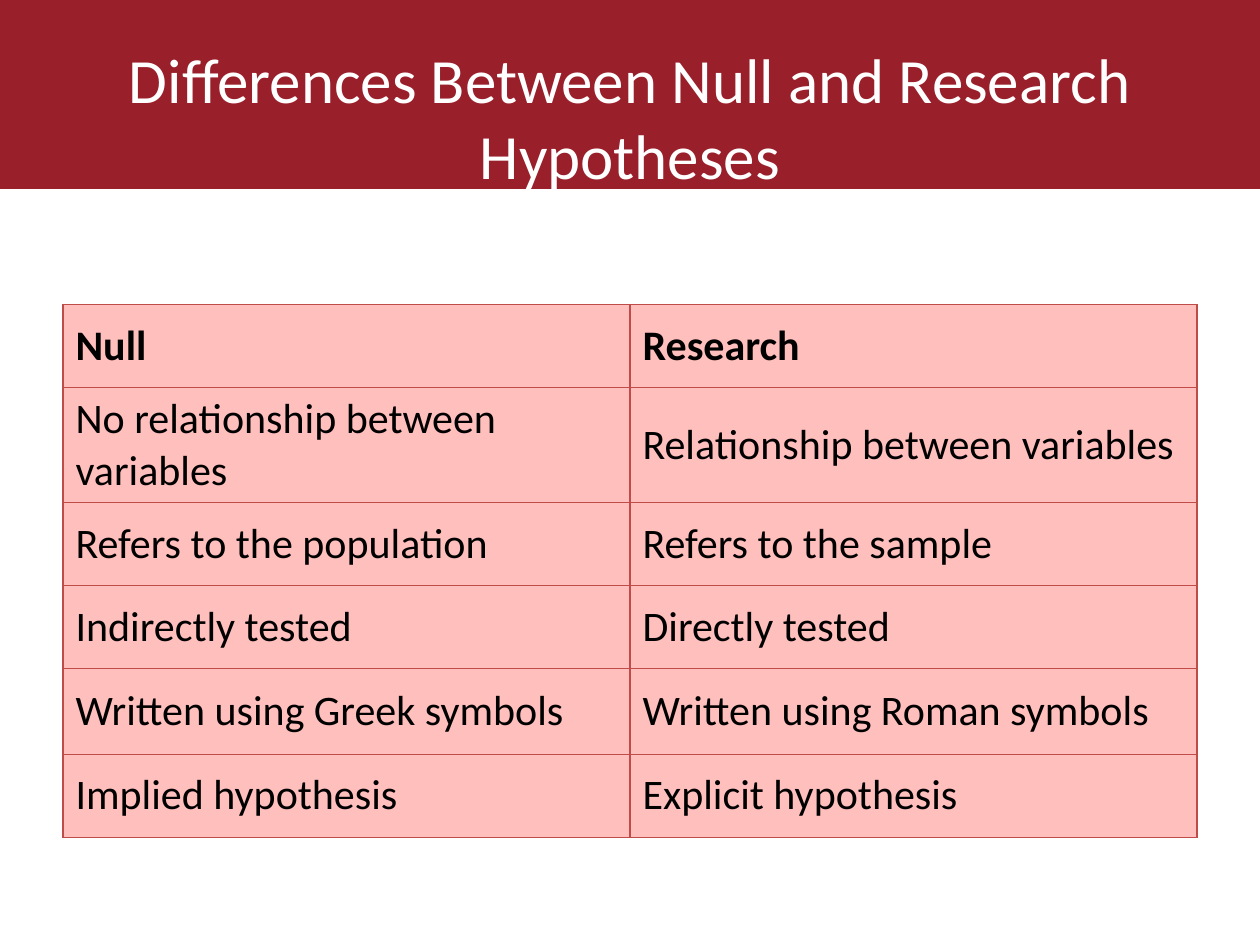
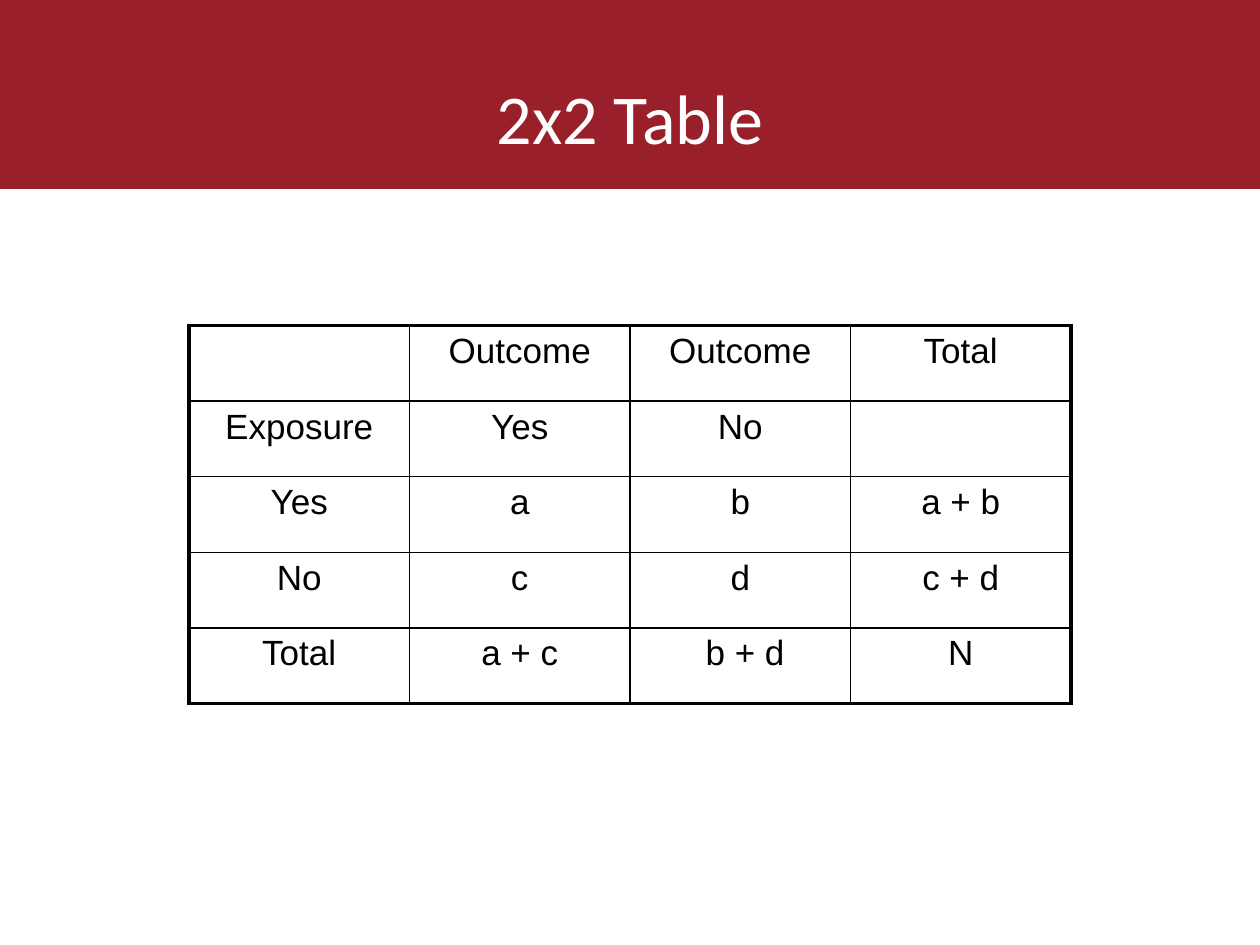
from pptx import Presentation
from pptx.dml.color import RGBColor
from pptx.enum.shapes import MSO_SHAPE
from pptx.enum.text import MSO_ANCHOR, PP_ALIGN
from pptx.oxml.ns import qn
from pptx.util import Pt
from lxml.etree import SubElement

SLIDE_WIDTH, SLIDE_HEIGHT, BAND_HEIGHT = 720, 540, 108
TITLE_TOP, TITLE_HEIGHT = 21.6, 90
CRIMSON, WHITE, BLACK, PINK, ROSE = "991F2A", "FFFFFF", "000000", "FFBFBD", "BF4C48"

SLIDES = [
    {
        "title": "Differences Between Null and Research Hypotheses",
        "title_size": 36, "title_margin": 0,
        "left": 36, "top": 174, "column_width": 324,
        "row_heights": [47.5, 65.8, 47.5, 47.5, 48.7, 47.5],
        "font": "Calibri", "size": 24, "bold_header": True,
        "align": PP_ALIGN.LEFT, "anchor": MSO_ANCHOR.MIDDLE,
        "fill": PINK, "border": ROSE, "inner": 0.75, "outer": 0.75,
        "rows": [
            ("Null", "Research"),
            ("No relationship between variables", "Relationship between variables"),
            ("Refers to the population", "Refers to the sample"),
            ("Indirectly tested", "Directly tested"),
            ("Written using Greek symbols", "Written using Roman symbols"),
            ("Implied hypothesis", "Explicit hypothesis"),
        ],
    },
    {
        "title": "2x2 Table",
        "title_size": 40, "title_margin": 36,
        "left": 108, "top": 186, "column_width": 126,
        "row_heights": [43.2] * 5,
        "font": "Arial", "size": 20, "bold_header": False,
        "align": PP_ALIGN.CENTER, "anchor": MSO_ANCHOR.TOP,
        "fill": None, "border": BLACK, "inner": 1, "outer": 2.25,
        "rows": [
            ("", "Outcome", "Outcome", "Total"),
            ("Exposure", "Yes", "No", ""),
            ("Yes", "a", "b", "a + b"),
            ("No", "c", "d", "c + d"),
            ("Total", "a + c", " b + d", "N"),
        ],
    },
]


def color(hex_code):
    return RGBColor.from_string(hex_code)


def style_text(paragraph, font, size, hex_code, align, bold=False):
    paragraph.alignment = align
    for face in [paragraph.font] + [run.font for run in paragraph.runs]:
        face.name, face.size, face.bold = font, Pt(size), bold
        face.color.rgb = color(hex_code)


def add_heading(slide, content):
    band = slide.shapes.add_shape(
        MSO_SHAPE.RECTANGLE, 0, 0, Pt(SLIDE_WIDTH), Pt(BAND_HEIGHT))
    band.shadow.inherit = False
    band.fill.solid()
    band.fill.fore_color.rgb = color(CRIMSON)
    band.line.fill.background()
    margin = content["title_margin"]
    title = slide.shapes.add_textbox(
        Pt(margin), Pt(TITLE_TOP), Pt(SLIDE_WIDTH - 2 * margin), Pt(TITLE_HEIGHT)).text_frame
    title.word_wrap = True
    title.vertical_anchor = MSO_ANCHOR.MIDDLE
    title.text = content["title"]
    style_text(title.paragraphs[0], "Calibri", content["title_size"], WHITE, PP_ALIGN.CENTER)


def add_borders(cell, hex_code, widths):
    properties = cell._tc.get_or_add_tcPr()
    for side, width in widths.items():
        line = SubElement(properties, qn(f"a:ln{side}"), w=str(Pt(width)))
        SubElement(SubElement(line, qn("a:solidFill")), qn("a:srgbClr"), val=hex_code)


def add_grid(slide, content):
    rows, heights = content["rows"], content["row_heights"]
    row_count, column_count = len(rows), len(rows[0])
    grid = slide.shapes.add_table(
        row_count, column_count, Pt(content["left"]), Pt(content["top"]),
        Pt(content["column_width"] * column_count), Pt(sum(heights))).table
    grid.first_row = grid.horz_banding = False
    for column in grid.columns:
        column.width = Pt(content["column_width"])
    inner, outer = content["inner"], content["outer"]
    for r, (row, height) in enumerate(zip(rows, heights)):
        grid.rows[r].height = Pt(height)
        for c, wording in enumerate(row):
            cell = grid.cell(r, c)
            edges = {"L": c == 0, "R": c == column_count - 1,
                     "T": r == 0, "B": r == row_count - 1}
            add_borders(cell, content["border"],
                        {side: outer if edge else inner for side, edge in edges.items()})
            if content["fill"]:
                cell.fill.solid()
                cell.fill.fore_color.rgb = color(content["fill"])
            else:
                cell.fill.background()
            cell.vertical_anchor = content["anchor"]
            cell.text_frame.text = wording
            style_text(cell.text_frame.paragraphs[0], content["font"], content["size"],
                       BLACK, content["align"], content["bold_header"] and r == 0)


def main():
    deck = Presentation()
    deck.slide_width, deck.slide_height = Pt(SLIDE_WIDTH), Pt(SLIDE_HEIGHT)
    for content in SLIDES:
        slide = deck.slides.add_slide(deck.slide_layouts[6])
        add_heading(slide, content)
        add_grid(slide, content)
    deck.save("out.pptx")


if __name__ == "__main__":
    main()
